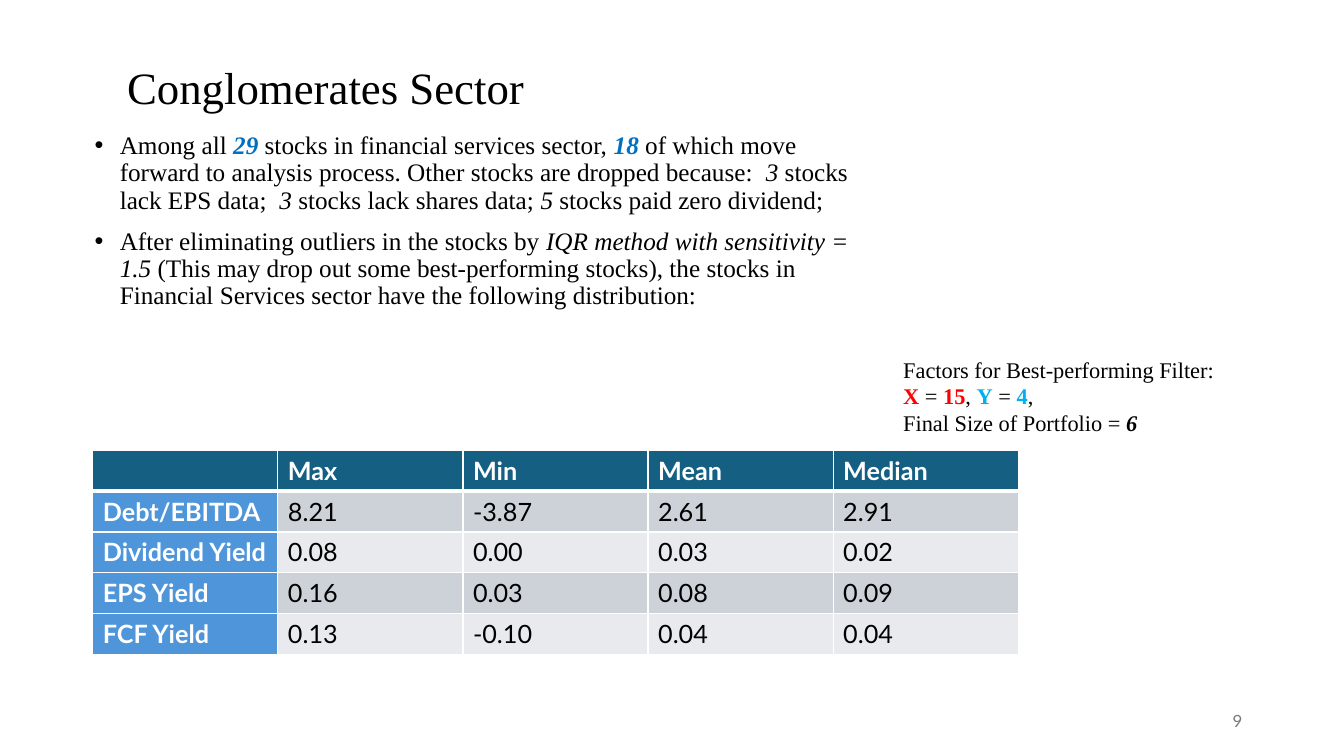
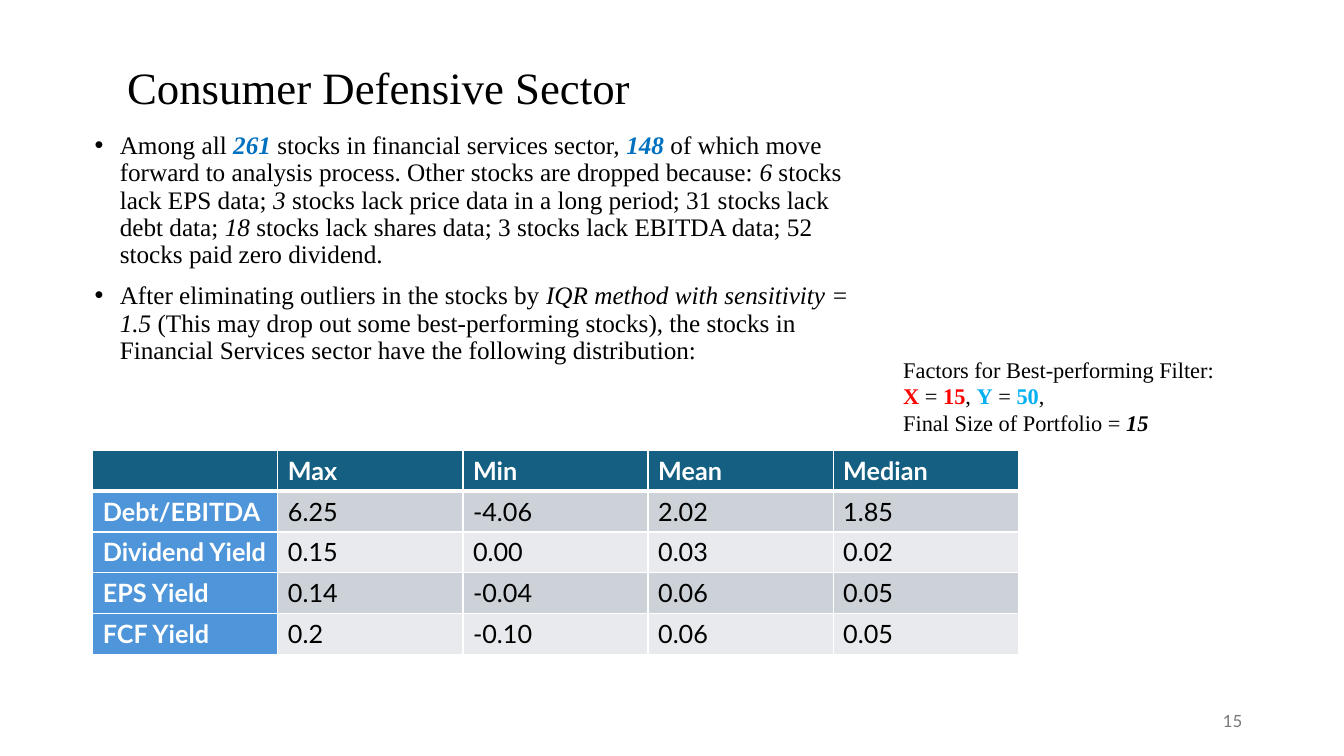
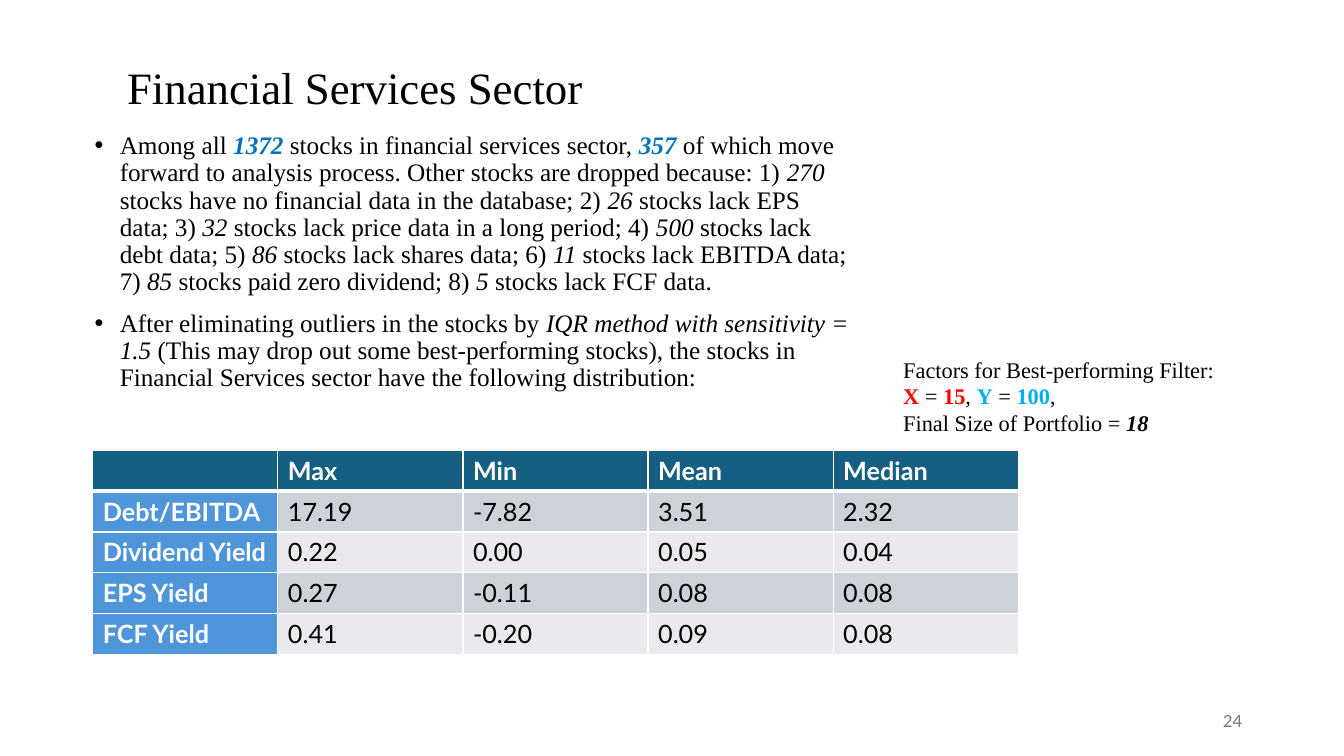
from lxml import etree
from pptx import Presentation
from pptx.dml.color import RGBColor
from pptx.enum.text import MSO_ANCHOR, MSO_AUTO_SIZE, PP_ALIGN
from pptx.oxml.ns import qn
from pptx.util import Inches, Pt

LEFT, RIGHT = PP_ALIGN.LEFT, PP_ALIGN.RIGHT
MIDDLE = MSO_ANCHOR.MIDDLE
NO_FIT, GROW = MSO_AUTO_SIZE.NONE, MSO_AUTO_SIZE.SHAPE_TO_FIT_TEXT

SERIF, SANS = "Times New Roman", "Lato"
BLACK, WHITE, GREY = "000000", "FFFFFF", "797979"
HEADER_FILL, LABEL_FILL = "156082", "4E95D9"
BAND_FILLS = ("CCD2D8", "E8EAED")

# Run emphasis: colour, bold, italic
PLAIN = (BLACK, False, False)
ITALIC = (BLACK, False, True)
STRONG = (BLACK, True, True)
COUNT = ("0070C0", True, True)
X_FACTOR = ("FF0000", True, False)
Y_FACTOR = ("00B0F0", True, False)

MEASURES = ("Max", "Min", "Mean", "Median")
METRICS = ("Debt/EBITDA", "Dividend Yield", "EPS Yield", "FCF Yield")

METHOD = [
    ("After eliminating outliers in the stocks by ", PLAIN),
    ("IQR method with sensitivity = 1.5 ", ITALIC),
    ("(This may drop out some best-performing stocks), the stocks in Financial "
     "Services sector have the following distribution:", PLAIN),
]

# Asterisks in "reasons" enclose italic words
SECTORS = [
    dict(title="Conglomerates Sector", title_width=4.9, page="9",
         total="29", kept="18",
         reasons="  *3* stocks lack EPS data;  *3* stocks lack shares data; "
                 "*5* stocks paid zero dividend;",
         values=[("8.21", "-3.87", "2.61", "2.91"),
                 ("0.08", "0.00", "0.03", "0.02"),
                 ("0.16", "0.03", "0.08", "0.09"),
                 ("0.13", "-0.10", "0.04", "0.04")],
         x="15", y="4", size="6"),
    dict(title="Consumer Defensive Sector", title_width=6.25, page="15",
         total="261", kept="148",
         reasons=" *6* stocks lack EPS data; *3* stocks lack price data in a long "
                 "period; 31 stocks lack debt data; *18 *stocks lack shares data; "
                 "3 stocks lack EBITDA data; 52 stocks paid zero dividend.",
         values=[("6.25", "-4.06", "2.02", "1.85"),
                 ("0.15", "0.00", "0.03", "0.02"),
                 ("0.14", "-0.04", "0.06", "0.05"),
                 ("0.2", "-0.10", "0.06", "0.05")],
         x="15", y="50", size="15"),
    dict(title="Financial Services Sector", title_width=4.9, page="24",
         total="1372", kept="357",
         reasons=" 1) *270* stocks have no financial data in the database; "
                 "2) *26* stocks lack EPS data; 3) *32* stocks lack price data in a "
                 "long period; 4) *500* stocks lack debt data; 5) *86* stocks lack "
                 "shares data; 6) *11* stocks lack EBITDA data; 7) *85* stocks paid "
                 "zero dividend; 8) *5* stocks lack FCF data.",
         values=[("17.19", "-7.82", "3.51", "2.32"),
                 ("0.22", "0.00", "0.05", "0.04"),
                 ("0.27", "-0.11", "0.08", "0.08"),
                 ("0.41", "-0.20", "0.09", "0.08")],
         x="15", y="100", size="18"),
]


def rgb(value):
    return RGBColor.from_string(value)


def style_font(font, size, family, color, bold=False, italic=False):
    font.size, font.name = Pt(size), family
    font.color.rgb = rgb(color)
    font.bold, font.italic = bold, italic


def add_bullet(paragraph):
    properties = paragraph._p.get_or_add_pPr()
    properties.set("marL", str(Inches(0.25)))
    properties.set("indent", str(Inches(-0.25)))
    etree.SubElement(properties, qn("a:buFont")).set("typeface", "Arial")
    etree.SubElement(properties, qn("a:buChar")).set("char", "•")


def add_borders(cell, **widths):
    properties = cell._tc.get_or_add_tcPr()
    for side in "LRTB":
        line = etree.SubElement(properties, qn("a:ln" + side))
        line.set("w", str(Pt(widths.get(side, 1))))
        fill = etree.SubElement(line, qn("a:solidFill"))
        etree.SubElement(fill, qn("a:srgbClr")).set("val", WHITE)


class SectorDeck:
    def __init__(self):
        self.presentation = Presentation()
        self.presentation.slide_width = Inches(13.33)
        self.presentation.slide_height = Inches(7.5)
        self.slide = None

    def new_slide(self, title, width):
        title_only = self.presentation.slide_layouts[5]
        self.slide = self.presentation.slides.add_slide(title_only)
        heading = self.slide.shapes.title
        heading.left, heading.top = Inches(1.16), Inches(0.15)
        heading.width, heading.height = Inches(width), Inches(1.48)
        frame = heading.text_frame
        frame.text = title
        frame.word_wrap, frame.auto_size = True, NO_FIT
        frame.vertical_anchor = MIDDLE
        paragraph = frame.paragraphs[0]
        paragraph.alignment, paragraph.line_spacing = LEFT, 0.9
        style_font(paragraph.runs[0].font, 32, SERIF, BLACK)

    def text_box(self, left, top, width, height):
        box = self.slide.shapes.add_textbox(
            Inches(left), Inches(top), Inches(width), Inches(height))
        box.text_frame.word_wrap = True
        return box.text_frame

    def fill_text(self, frame, paragraphs, size, bulleted=False):
        for index, runs in enumerate(paragraphs):
            paragraph = frame.add_paragraph() if index else frame.paragraphs[0]
            if bulleted:
                add_bullet(paragraph)
                paragraph.line_spacing = 0.9
                paragraph.space_before = Pt(10 if index else 0)
            for text, emphasis in runs:
                run = paragraph.add_run()
                run.text = text
                style_font(run.font, size, SERIF, *emphasis)

    def selection(self, total, kept, reasons):
        runs = [("Among all ", PLAIN), (total, COUNT),
                (" stocks in financial services sector, ", PLAIN), (kept, COUNT),
                (" of which move forward to analysis process. "
                 "Other stocks are dropped because:", PLAIN)]
        runs += [(part, ITALIC if index % 2 else PLAIN)
                 for index, part in enumerate(reasons.split("*"))]
        frame = self.text_box(0.84, 1.27, 7.73, 2.95)
        self.fill_text(frame, [runs, METHOD], 18, bulleted=True)

    def page_number(self, number):
        frame = self.text_box(9.42, 6.95, 3, 0.4)
        frame.vertical_anchor = MIDDLE
        frame.text = number
        frame.paragraphs[0].alignment = RIGHT
        style_font(frame.paragraphs[0].runs[0].font, 12, SANS, GREY)

    def distribution(self, values):
        rows = [("", *MEASURES)]
        rows += [(metric, *figures) for metric, figures in zip(METRICS, values)]
        table = self.slide.shapes.add_table(
            len(rows), len(rows[0]), Inches(0.92), Inches(4.47),
            Inches(9.18), Inches(2.02)).table
        for r, row in enumerate(rows):
            for c, text in enumerate(row):
                cell = table.cell(r, c)
                add_borders(cell, T=3 if r == 1 else 1, B=3 if r == 0 else 1)
                if r == 0:
                    fill = HEADER_FILL
                elif c == 0:
                    fill = LABEL_FILL
                else:
                    fill = BAND_FILLS[(r - 1) % 2]
                cell.fill.solid()
                cell.fill.fore_color.rgb = rgb(fill)
                cell.text_frame.text = text
                is_heading = r == 0 or c == 0
                style_font(cell.text_frame.paragraphs[0].font, 18, SANS,
                           WHITE if is_heading else BLACK, bold=is_heading)

    def filter_factors(self, x, y, size):
        frame = self.text_box(8.86, 3.48, 3.56, 0.91)
        frame.auto_size = GROW
        self.fill_text(frame, [
            [("Factors for Best-performing Filter:", PLAIN)],
            [("X", X_FACTOR), (" = ", PLAIN), (x, X_FACTOR), (", ", PLAIN),
             ("Y", Y_FACTOR), (" = ", PLAIN), (y, Y_FACTOR), (",", PLAIN)],
            [("Final Size of Portfolio = ", PLAIN), (size, STRONG)],
        ], 16)


def main():
    deck = SectorDeck()
    for sector in SECTORS:
        deck.new_slide(sector["title"], sector["title_width"])
        deck.selection(sector["total"], sector["kept"], sector["reasons"])
        deck.page_number(sector["page"])
        deck.distribution(sector["values"])
        deck.filter_factors(sector["x"], sector["y"], sector["size"])
    deck.presentation.save("out.pptx")


if __name__ == "__main__":
    main()
